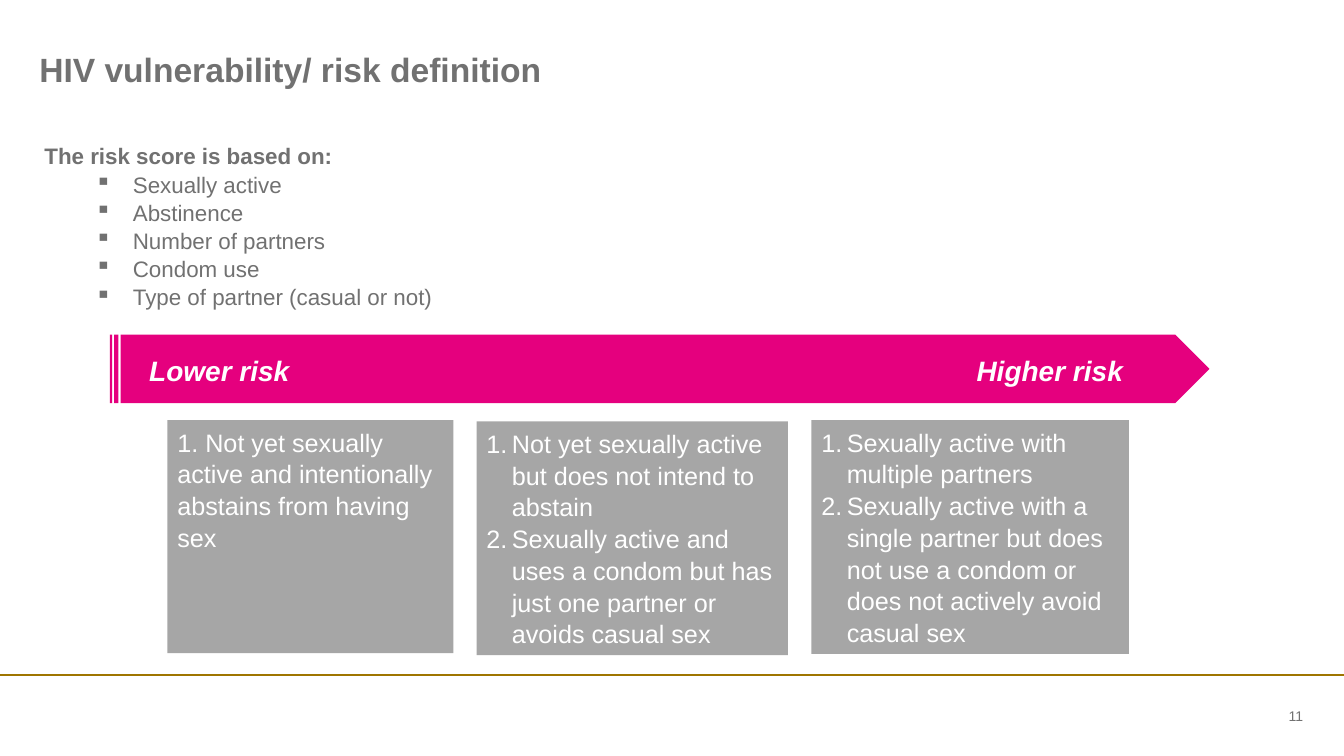
from dataclasses import dataclass

from lxml.etree import SubElement
from pptx import Presentation
from pptx.dml.color import RGBColor
from pptx.enum.shapes import MSO_CONNECTOR, MSO_SHAPE
from pptx.enum.text import MSO_ANCHOR as ANCHOR, MSO_AUTO_SIZE as AUTO, PP_ALIGN as ALIGN
from pptx.oxml.ns import qn
from pptx.util import Cm, Pt

GREY, PINK, WHITE, BOX_GREY, GOLD = "717171", "E5007E", "FFFFFF", "A6A6A6", "9F7500"


@dataclass
class RiskBox:
    left: float
    top: float
    width: float
    height: float
    items: list[str]
    numbered: bool = True


@dataclass
class ArrowLabel:
    text: str
    left: float
    width: float


RISK_BOXES = [
    RiskBox(4.22, 10.59, 7.21, 5.87,
            ["1. Not yet sexually active and intentionally abstains from having sex"],
            numbered=False),
    RiskBox(12.01, 10.62, 7.85, 5.89,
            ["Not yet sexually active but does not intend to abstain",
             "Sexually active and uses a condom but has just one partner or avoids casual sex"]),
    RiskBox(20.45, 10.59, 8.0, 5.89,
            ["Sexually active with multiple partners",
             "Sexually active with a single partner but does not use a condom "
             "or does not actively avoid casual sex"]),
]
ARROW_LABELS = [ArrowLabel("Lower risk", 3.76, 5.92), ArrowLabel("Higher risk", 24.61, 3.96)]
SCORE_FACTORS = ["Sexually active", "Abstinence", "Number of partners", "Condom use",
                 "Type of partner (casual or not)"]


def rgb(value: str) -> RGBColor:
    return RGBColor.from_string(value)


def place(sp, left: float, top: float, width: float, height: float) -> None:
    sp.left, sp.top, sp.width, sp.height = Cm(left), Cm(top), Cm(width), Cm(height)


def setup_frame(tf, inset: bool = True, anchor=ANCHOR.TOP) -> None:
    tf.word_wrap = True
    tf.auto_size = AUTO.NONE
    tf.vertical_anchor = anchor
    tf.margin_left = tf.margin_right = Cm(0.25 if inset else 0)
    tf.margin_top = tf.margin_bottom = Cm(0.13 if inset else 0)


def add_text(tf, text: str, *, size: float, color: str = GREY, bold: bool = False,
             italic: bool = False, align=ALIGN.LEFT, level: int = 0, margin: float = 0,
             indent: float = 0, bullet: str = "", numbered: bool = False) -> None:
    """Fill the empty first paragraph of the frame, or append a new one."""
    p = tf.paragraphs[0] if not tf.text else tf.add_paragraph()
    pPr = p._p.get_or_add_pPr()
    pPr.set("marL", str(Cm(margin)))
    pPr.set("indent", str(Cm(indent)))
    if bullet:
        SubElement(pPr, qn("a:buChar"), char=bullet)
    elif numbered:
        SubElement(pPr, qn("a:buFont"), typeface="+mj-lt")
        SubElement(pPr, qn("a:buAutoNum"), type="arabicPeriod")
    p.level, p.alignment, p.line_spacing = level, align, 1.05
    p.space_before = Pt(0)
    r = p.add_run()
    r.text = text
    r.font.name, r.font.size = "Arial", Pt(size)
    r.font.bold, r.font.italic = bold, italic
    r.font.color.rgb = rgb(color)


def add_frame(s, left: float, top: float, width: float, height: float, **options):
    sp = s.shapes.add_textbox(0, 0, 0, 0)
    place(sp, left, top, width, height)
    setup_frame(sp.text_frame, **options)
    return sp.text_frame


def add_filled(s, kind, left: float, top: float, width: float, height: float, color: str):
    sp = s.shapes.add_shape(kind, Cm(left), Cm(top), Cm(width), Cm(height))
    sp.shadow.inherit = False
    sp.fill.solid()
    sp.fill.fore_color.rgb = rgb(color)
    sp.line.fill.background()
    return sp


def add_footer(s, width) -> None:
    rule = s.shapes.add_connector(MSO_CONNECTOR.STRAIGHT, 0, Cm(17.01), width, Cm(17.01))
    rule.line.color.rgb = rgb(GOLD)
    rule.line.width = Pt(1.5)
    SubElement(rule._element.spPr, qn("a:effectLst"))
    tf = add_frame(s, 30.15, 17.75, 2.69, 0.56, inset=False, anchor=ANCHOR.MIDDLE)
    add_text(tf, "11", size=10, align=ALIGN.RIGHT)


def add_title(s) -> None:
    title = s.shapes.title
    place(title, 0.99, 1.19, 31.85, 1.12)
    setup_frame(title.text_frame, inset=False)
    add_text(title.text_frame, "HIV vulnerability/ risk definition", size=24, bold=True)


def add_score_factors(s) -> None:
    tf = add_frame(s, 0.23, 3.43, 31.88, 1.09)
    add_text(tf, "The risk score is based on:", size=16, bold=True, margin=0.64)
    for factor in SCORE_FACTORS:
        add_text(tf, factor, size=16, level=1, margin=2.87, indent=-0.95, bullet="▪")


def add_risk_arrow(s) -> None:
    arrow = add_filled(s, MSO_SHAPE.STRIPED_RIGHT_ARROW, 2.77, 8.43, 27.71, 1.73, PINK)
    arrow.adjustments[0], arrow.adjustments[1] = 1, 0.5
    for label in ARROW_LABELS:
        tf = add_frame(s, label.left, 8.86, label.width, 0.86, inset=False)
        add_text(tf, label.text, size=20, color=WHITE, bold=True, italic=True)


def add_risk_box(s, box: RiskBox) -> None:
    sp = add_filled(s, MSO_SHAPE.RECTANGLE, box.left, box.top, box.width, box.height, BOX_GREY)
    setup_frame(sp.text_frame)
    hang = 0.64 if box.numbered else 0
    for item in box.items:
        add_text(sp.text_frame, item, size=18, color=WHITE, margin=hang, indent=-hang,
                 numbered=box.numbered)


def main() -> None:
    prs = Presentation()
    prs.slide_width, prs.slide_height = Cm(33.87), Cm(19.05)
    s = prs.slides.add_slide(prs.slide_layouts[5])
    add_footer(s, prs.slide_width)
    add_title(s)
    add_score_factors(s)
    add_risk_arrow(s)
    for box in RISK_BOXES:
        add_risk_box(s, box)
    prs.save("out.pptx")


if __name__ == "__main__":
    main()
